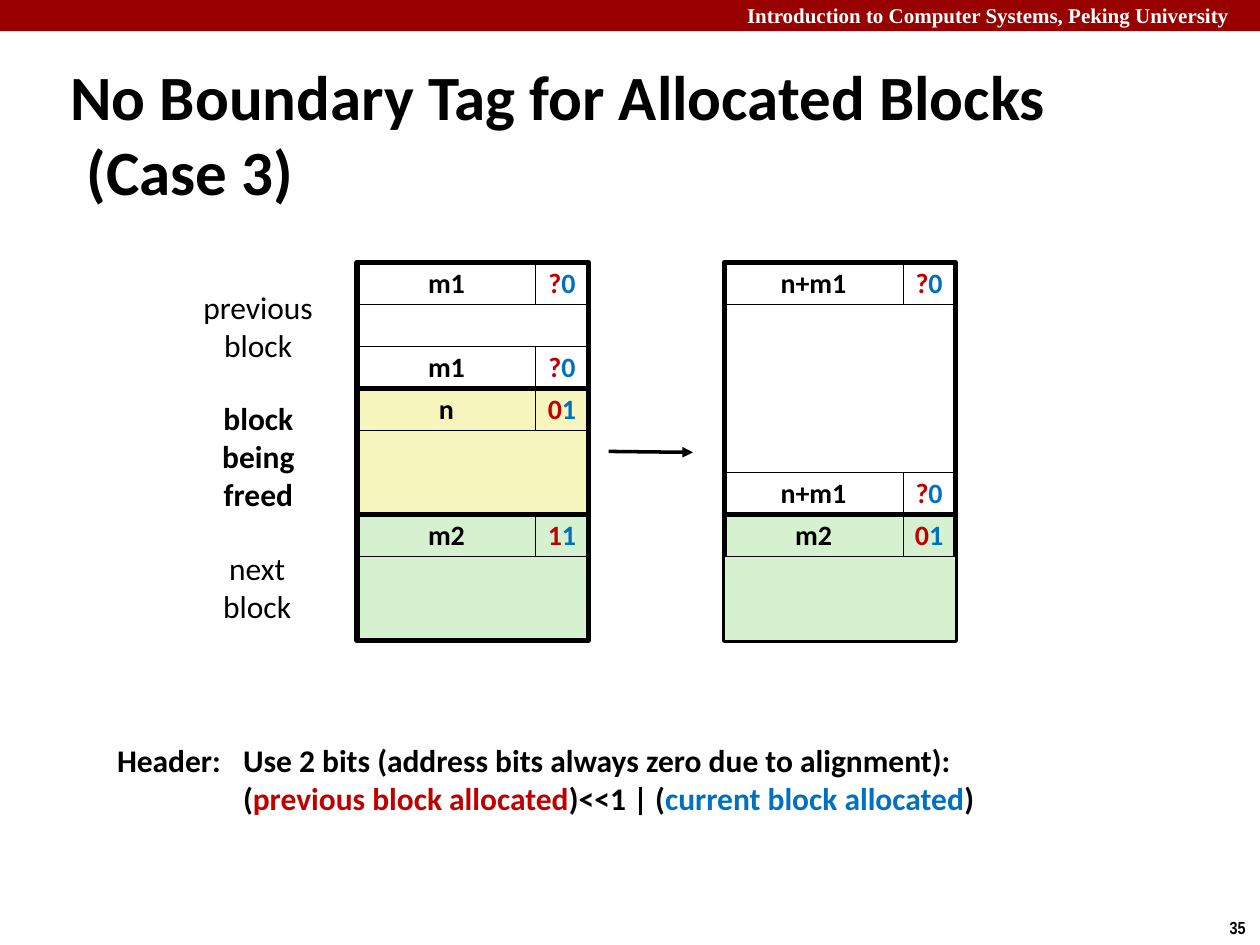
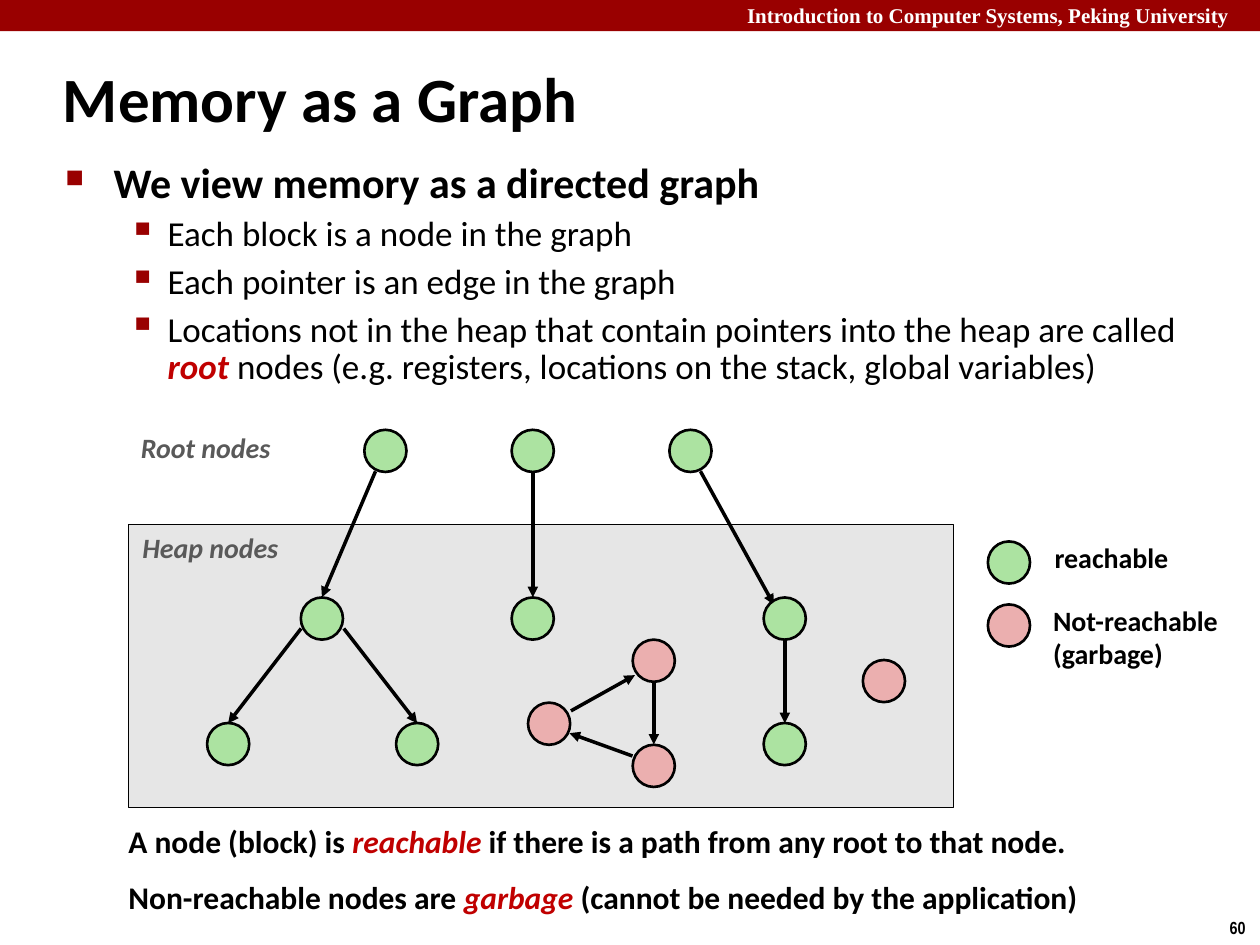
"""Build two slides on memory blocks and garbage collection."""
from dataclasses import dataclass

from lxml import etree
from pptx import Presentation
from pptx.dml.color import RGBColor
from pptx.enum.shapes import MSO_CONNECTOR, MSO_SHAPE
from pptx.enum.text import MSO_ANCHOR, PP_ALIGN
from pptx.oxml.ns import qn
from pptx.util import Cm, Pt

RECT, OVAL = MSO_SHAPE.RECTANGLE, MSO_SHAPE.OVAL
LINE = MSO_CONNECTOR.STRAIGHT
TOP, MIDDLE = MSO_ANCHOR.TOP, MSO_ANCHOR.MIDDLE
LEFT, CENTER = PP_ALIGN.LEFT, PP_ALIGN.CENTER


@dataclass(frozen=True)
class Theme:
    """Colours, fonts and type sizes of the deck."""
    font: str = "Calibri"
    serif: str = "Times New Roman"
    narrow: str = "Arial Narrow"
    band: str = "990000"
    ink: str = "000000"
    paper: str = "FFFFFF"
    red: str = "C00000"
    blue: str = "0070C0"
    gray: str = "595959"
    heap: str = "E6E6E6"
    freed: str = "F6F5BD"
    next: str = "D5F1CF"
    live: str = "ACE3A1"
    dead: str = "EBAFAF"
    title: int = 36
    lead: int = 24
    body: int = 20
    note: int = 18
    cell: int = 16
    head: int = 12
    page: int = 10


T = Theme()
ROW = 2.54 / 3
TOP_ROW = 5.29
SIZE_W, FLAG_W = 3.6, 1.06
NODE = 0.85


def rgb(tone):
    """Turn a hex string into a colour."""
    return RGBColor.from_string(tone)


def put(para, words, size, tone=T.ink, look="b", font=T.font):
    """Add one run; look holds b for bold and i for italic."""
    run = para.add_run()
    run.text = words
    run.font.name = font
    run.font.size = Pt(size)
    run.font.bold = "b" in look
    run.font.italic = "i" in look
    run.font.color.rgb = rgb(tone)


def fill_text(frame, paras, size, align=LEFT, space=1.0, before=0, font=T.font):
    """Write paragraphs, each a list of run tuples, into a text frame."""
    for i, runs in enumerate(paras):
        para = frame.add_paragraph() if i else frame.paragraphs[0]
        para.alignment = align
        para.line_spacing = space
        if i and before:
            para.space_before = Pt(before)
        for run in runs:
            put(para, run[0], size, *run[1:], font=font)


def text(slide, x, y, w, h, paras, size, wrap=False, anchor=TOP, **style):
    """Add a text box and return its frame."""
    frame = slide.shapes.add_textbox(Cm(x), Cm(y), Cm(w), Cm(h)).text_frame
    frame.word_wrap = wrap
    frame.vertical_anchor = anchor
    fill_text(frame, paras, size, **style)
    return frame


def shape(slide, kind, x, y, w, h, tone=None, line=None):
    """Add a preset shape; without a tone it is an empty outline."""
    item = slide.shapes.add_shape(kind, Cm(x), Cm(y), Cm(w), Cm(h))
    item.shadow.inherit = False
    if tone:
        item.fill.solid()
        item.fill.fore_color.rgb = rgb(tone)
    else:
        item.fill.background()
    if line:
        item.line.color.rgb = rgb(T.ink)
        item.line.width = Pt(line)
    else:
        item.line.fill.background()
    return item


def arrow(slide, x1, y1, x2, y2):
    """Draw a straight arrow between two points."""
    item = slide.shapes.add_connector(LINE, Cm(x1), Cm(y1), Cm(x2), Cm(y2))
    item.line.color.rgb = rgb(T.ink)
    item.line.width = Pt(2)
    etree.SubElement(item.line._get_or_add_ln(), qn("a:tailEnd"), type="triangle")
    etree.SubElement(item._element.spPr, qn("a:effectLst"))


def indent(para, left, hang):
    """Set a hanging indent."""
    props = para._p.get_or_add_pPr()
    props.set("marL", str(Cm(left)))
    props.set("indent", str(-Cm(hang)))
    return props


def bullet(para, mark, scale, left, hang):
    """Give a paragraph a coloured bullet."""
    props = indent(para, left, hang)
    tone = etree.SubElement(props, qn("a:buClr"))
    etree.SubElement(tone, qn("a:srgbClr"), val=T.band)
    etree.SubElement(props, qn("a:buSzPct"), val=str(scale * 1000))
    etree.SubElement(props, qn("a:buChar"), char=mark)


def tab(para, pos):
    """Add one left tab stop."""
    stops = etree.SubElement(para._p.get_or_add_pPr(), qn("a:tabLst"))
    etree.SubElement(stops, qn("a:tab"), pos=str(Cm(pos)), algn="l")


def start(deck, page):
    """Add a slide with the band, course name and page number."""
    slide = deck.slides.add_slide(deck.slide_layouts[6])
    shape(slide, RECT, 0, 0, 25.4, 0.63, T.band)
    course = "Introduction to Computer Systems, Peking University"
    text(slide, 14.81, -0.08, 10.77, 0.77, [[(course, T.paper)]], T.head,
         wrap=True, font=T.serif)
    text(slide, 24.54, 18.36, 0.86, 0.68, [[(page,)]], T.page, font=T.narrow)
    return slide


def title(slide, x, y, w, words, space=1.0):
    """Add the slide title."""
    frame = text(slide, x, y, w, 1.6, [[(words,)]], T.title, wrap=True,
                 anchor=MIDDLE, space=space)
    indent(frame.paragraphs[0], 0.33, 0.33)


def tag(slide, x, row, size, bits, tone):
    """Draw a size cell and the two flag bits beside it."""
    prev, cur = bits
    cells = ((x, SIZE_W, [(size,)]),
             (x + SIZE_W, FLAG_W, [(prev, T.red), (cur, T.blue)]))
    for left, width, runs in cells:
        cell = shape(slide, RECT, left, TOP_ROW + row * ROW, width, ROW, tone, 0.25)
        cell.text_frame.word_wrap = False
        cell.text_frame.vertical_anchor = MIDDLE
        fill_text(cell.text_frame, [runs], T.cell, CENTER, 0.98)


def area(slide, x, row, rows, tone=None, line=0.25):
    """Draw a full-width part of a block."""
    shape(slide, RECT, x, TOP_ROW + row * ROW, SIZE_W + FLAG_W, rows * ROW, tone, line)


def block(slide, x, row, rows, size, bits, tone=T.paper, foot=False):
    """Draw a memory block with a header and perhaps a footer."""
    tag(slide, x, row, size, bits, tone)
    area(slide, x, row + 1, rows - 1 - foot, tone)
    if foot:
        tag(slide, x, row + rows - 1, size, bits, tone)
    area(slide, x, row, rows, line=3)


def node(slide, x, y, tone):
    """Draw a graph node around its centre."""
    shape(slide, OVAL, x - NODE / 2, y - NODE / 2, NODE, NODE, tone, 1.5)


def tags_slide(deck):
    """Show how a freed block joins the previous one."""
    slide = start(deck, "35")
    title(slide, 1.17, 1.88, 23.06, "No Boundary Tag for Allocated Blocks (Case 3)")

    old, new = 7.2, 14.6
    block(slide, old, 0, 3, "m1", "?0", foot=True)
    block(slide, old, 3, 3, "n", "01", T.freed)
    block(slide, old, 6, 3, "m2", "11", T.next)
    block(slide, new, 6, 3, "m2", "01", T.next)
    block(slide, new, 0, 6, "n+m1", "?0", foot=True)
    area(slide, new, 7, 2, T.next)
    arrow(slide, 12.27, 9.1, 13.97, 9.12)

    labels = ((3.81, 5.69, 2.79, "previous block", ""),
              (4.22, 7.92, 1.98, "block being freed", "b"),
              (4.22, 10.95, 1.93, "next block", ""))
    for x, y, w, words, look in labels:
        lines = [[(word, T.ink, look)] for word in words.split()]
        text(slide, x, y, w, 0.27 + 0.77 * len(lines), lines, T.note, align=CENTER)

    bits = [[("Header:\tUse 2 bits (address bits always zero due to alignment):",)],
            [("\t(",), ("previous block allocated", T.red), (")<<1 | (",),
             ("current block allocated", T.blue), (")",)]]
    frame = text(slide, 2.11, 14.81, 17.93, 1.8, bits, T.note)
    for para in frame.paragraphs:
        tab(para, 2.54)


def points(slide):
    """Write the bulleted list."""
    frame = text(slide, 1.07, 3.18, 23.52, 4.29, [], T.body, wrap=True)
    para = frame.paragraphs[0]
    bullet(para, "■", 60, 0.97, 0.97)
    para.line_spacing = 0.85
    put(para, "We view memory as a directed graph", T.lead)
    items = ([("Each block is a node in the graph", T.ink, "")],
             [("Each pointer is an edge in the graph", T.ink, "")],
             [("Locations not in the heap that contain pointers into the heap "
               "are called ", T.ink, ""),
              ("root", T.red, "bi"),
              (" nodes (e.g. registers, locations on the stack, global variables)",
               T.ink, "")])
    for runs in items:
        para = frame.add_paragraph()
        bullet(para, "▪", 110, 2.06, 0.79)
        para.line_spacing = 0.9
        para.space_before = Pt(5.6)
        for run in runs:
            put(para, run[0], T.body, *run[1:])


def graph(slide):
    """Draw the heap, its nodes, its edges and the legend."""
    shape(slide, RECT, 2.59, 10.57, 16.64, 5.71, T.heap, 0.5)
    edges = ((7.57, 9.5, 6.49, 12.04), (10.74, 9.5, 10.74, 12.04),
             (14.12, 9.5, 15.6, 12.19), (6.07, 12.67, 4.6, 14.58),
             (6.93, 12.67, 8.41, 14.58), (15.82, 12.9, 15.82, 14.58),
             (13.18, 13.74, 13.18, 15.01), (12.75, 15.24, 11.48, 14.78),
             (11.51, 14.33, 12.8, 13.61))
    for edge in edges:
        arrow(slide, *edge)

    levels = ((9.09, (7.77, 10.74, 13.92)), (12.47, (6.49, 10.74, 15.82)),
              (15, (4.6, 8.41, 15.82)), (11.34, (20.34,)))
    for y, row in levels:
        for x in row:
            node(slide, x, y, T.live)
    lost = ((13.18, 13.32), (13.18, 15.44), (11.07, 14.59), (17.82, 13.73),
            (20.34, 12.61))
    for x, y in lost:
        node(slide, x, y, T.dead)

    text(slide, 2.59, 8.56, 3.2, 0.94, [[("Root nodes", T.gray, "bi")]], T.cell)
    text(slide, 2.62, 10.57, 3.3, 0.94, [[("Heap nodes", T.gray, "bi")]], T.cell)
    text(slide, 21.01, 10.77, 2.82, 0.94, [[("reachable",)]], T.cell)
    text(slide, 20.98, 12.04, 3.89, 1.63, [[("Not-reachable",)], [("(garbage)",)]],
         T.cell)


def graph_slide(deck):
    """Show memory as a graph of reachable and lost nodes."""
    slide = start(deck, "60")
    title(slide, 1.02, 1.27, 17.6, "Memory as a Graph", 0.87)
    points(slide)
    graph(slide)
    rules = [[("A node (block) is ",), ("reachable", T.red, "bi"),
              (" if there is a path from any root to that node.",)],
             [("Non-reachable nodes are ",), ("garbage ", T.red, "bi"),
              ("(cannot be needed by the application)",)]]
    text(slide, 2.34, 16.51, 20.57, 2.34, rules, T.note, wrap=True,
         space=0.95, before=11.2)


def main():
    """Build and save the deck."""
    deck = Presentation()
    deck.slide_width, deck.slide_height = Cm(25.4), Cm(19.05)
    tags_slide(deck)
    graph_slide(deck)
    deck.save("out.pptx")


if __name__ == "__main__":
    main()
